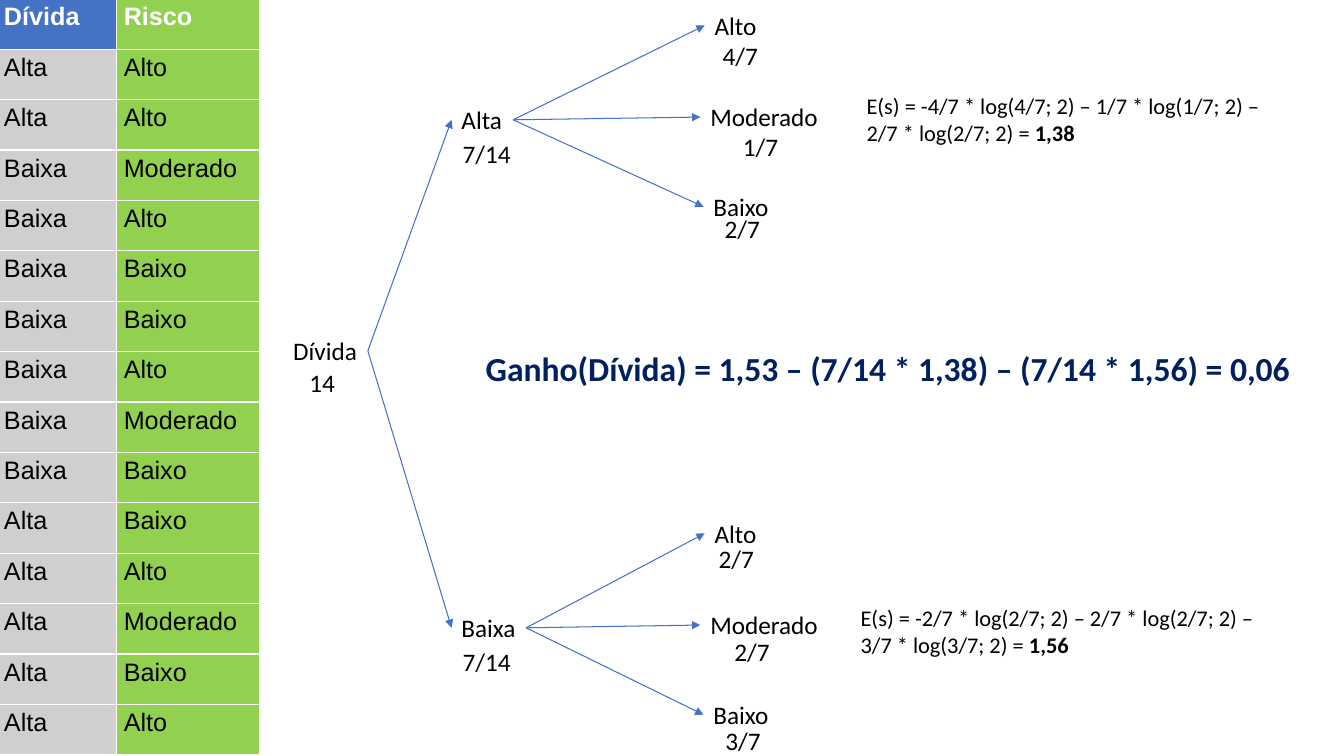
from lxml import etree
from pptx import Presentation
from pptx.dml.color import RGBColor
from pptx.enum.shapes import MSO_CONNECTOR
from pptx.oxml.ns import qn
from pptx.util import Cm, Pt

STRAIGHT = MSO_CONNECTOR.STRAIGHT
LEFT_SIDE, RIGHT_SIDE = 1, 3
LABEL_HEIGHT = 1.02
COLORS = {
    "black": "000000",
    "white": "FFFFFF",
    "blue": "4472C4",
    "navy": "002060",
    "green": "92D050",
    "gray": "D0CECE",
}

RECORDS = [
    ("Alta", "Alto"),
    ("Alta", "Alto"),
    ("Baixa", "Moderado"),
    ("Baixa", "Alto"),
    ("Baixa", "Baixo"),
    ("Baixa", "Baixo"),
    ("Baixa", "Alto"),
    ("Baixa", "Moderado"),
    ("Baixa", "Baixo"),
    ("Alta", "Baixo"),
    ("Alta", "Alto"),
    ("Alta", "Moderado"),
    ("Alta", "Baixo"),
    ("Alta", "Alto"),
]

LEAVES = [
    ("Alto", 6.38, 0, 1.57),
    ("Moderado", 6.27, 2.31, 3.25),
    ("Baixo", 6.35, 4.57, 1.91),
]

BRANCHES = [
    {
        "name": "Alta",
        "box": (11.38, 0.13),
        "width": 1.55,
        "counts": [("4/7", 6.58, 0.76), ("1/7", 7.09, 3.05), ("2/7", 6.63, 5.13)],
        "entropy": "E(s) = -4/7 * log(4/7; 2) – 1/7 * log(1/7; 2) – 2/7 * log(2/7; 2) = ",
        "result": "1,38",
        "entropy_offset": (10.21, 2.06),
    },
    {
        "name": "Baixa",
        "box": (11.38, 12.93),
        "width": 1.88,
        "counts": [("2/7", 6.48, 0.64), ("2/7", 6.88, 2.97), ("3/7", 6.65, 5.21)],
        "entropy": "E(s) = -2/7 * log(2/7; 2) – 2/7 * log(2/7; 2) – 3/7 * log(3/7; 2) = ",
        "result": "1,56",
        "entropy_offset": (10.06, 2.16),
    },
]


def rgb(name):
    return RGBColor.from_string(COLORS[name])


def add_span(para, text, size=18, font="Calibri", color="black", bold=False):
    span = para.add_run()
    span.text = text
    span.font.size = Pt(size)
    span.font.name = font
    span.font.bold = bold
    span.font.color.rgb = rgb(color)


def add_text(page, left, top, width, height=LABEL_HEIGHT, wrap=True):
    box = page.shapes.add_textbox(Cm(left), Cm(top), Cm(width), Cm(height))
    box.text_frame.word_wrap = wrap
    return box, box.text_frame.paragraphs[0]


def add_label(page, text, left, top, width, wrap=False):
    box, para = add_text(page, left, top, width, wrap=wrap)
    add_span(para, text)
    return box


def add_arrow(page, source, target):
    arrow = page.shapes.add_connector(STRAIGHT, 0, 0, 0, 0)
    arrow.begin_connect(source, RIGHT_SIDE)
    arrow.end_connect(target, LEFT_SIDE)
    arrow.line.color.rgb = rgb("blue")
    arrow.line.width = Pt(0.75)
    line = arrow.line._get_or_add_ln()
    etree.SubElement(line, qn("a:tailEnd"), type="triangle")
    etree.SubElement(arrow._element.spPr, qn("a:effectLst"))


def add_root(page, left, top):
    root = add_label(page, "Dívida", left, top, 2.13)
    add_label(page, "14", left + 0.41, top + 0.79, 1.17)
    return root


def add_branch(page, root, branch):
    left, top = branch["box"]
    node = add_label(page, branch["name"], left, top + 2.38, branch["width"])
    add_label(page, "7/14", left + 0.03, top + 3.22, 1.73)
    add_arrow(page, root, node)
    for name, across, down, width in LEAVES:
        leaf = add_label(page, name, left + across, top + down, width)
        add_arrow(page, node, leaf)
    for count, across, down in branch["counts"]:
        add_label(page, count, left + across, top + down, 1.57, wrap=True)
    across, down = branch["entropy_offset"]
    _, para = add_text(page, left + across, top + down, 10.85, 1.63)
    add_span(para, branch["entropy"], size=16)
    add_span(para, branch["result"], size=16, bold=True)


def add_gain(page, left, top):
    _, para = add_text(page, left, top, 21.31, 1.27)
    formula = "Ganho(Dívida) = 1,53 – (7/14 * 1,38) – (7/14 * 1,56) = 0,06"
    add_span(para, formula, size=24, color="navy", bold=True)


def add_records(page, left, top, widths, row_height):
    rows = [("Dívida", "Risco")] + RECORDS
    frame = page.shapes.add_table(
        len(rows), len(widths), Cm(left), Cm(top),
        Cm(sum(widths)), Cm(row_height * len(rows)),
    )
    table = frame.table
    table.horz_banding = False
    for column, width in zip(table.columns, widths):
        column.width = Cm(width)
    for row_index, row in enumerate(rows):
        header = row_index == 0
        fills = ("blue" if header else "gray", "green")
        for column_index, (text, fill) in enumerate(zip(row, fills)):
            cell = table.cell(row_index, column_index)
            cell.fill.solid()
            cell.fill.fore_color.rgb = rgb(fill)
            cell.margin_left = cell.margin_right = Cm(0.18)
            cell.margin_top = cell.margin_bottom = 0
            para = cell.text_frame.paragraphs[0]
            para.line_spacing = 1.15
            add_span(para, text, font="Arial",
                     color="white" if header else "black", bold=header)


def main():
    deck = Presentation()
    deck.slide_width = Cm(33.87)
    deck.slide_height = Cm(19.05)
    page = deck.slides.add_slide(deck.slide_layouts[6])
    root = add_root(page, 7.14, 8.33)
    for branch in BRANCHES:
        add_branch(page, root, branch)
    add_gain(page, 11.99, 8.64)
    add_records(page, -0.08, -0.03, (3.02, 3.61), 1.27)
    deck.save("out.pptx")


if __name__ == "__main__":
    main()
